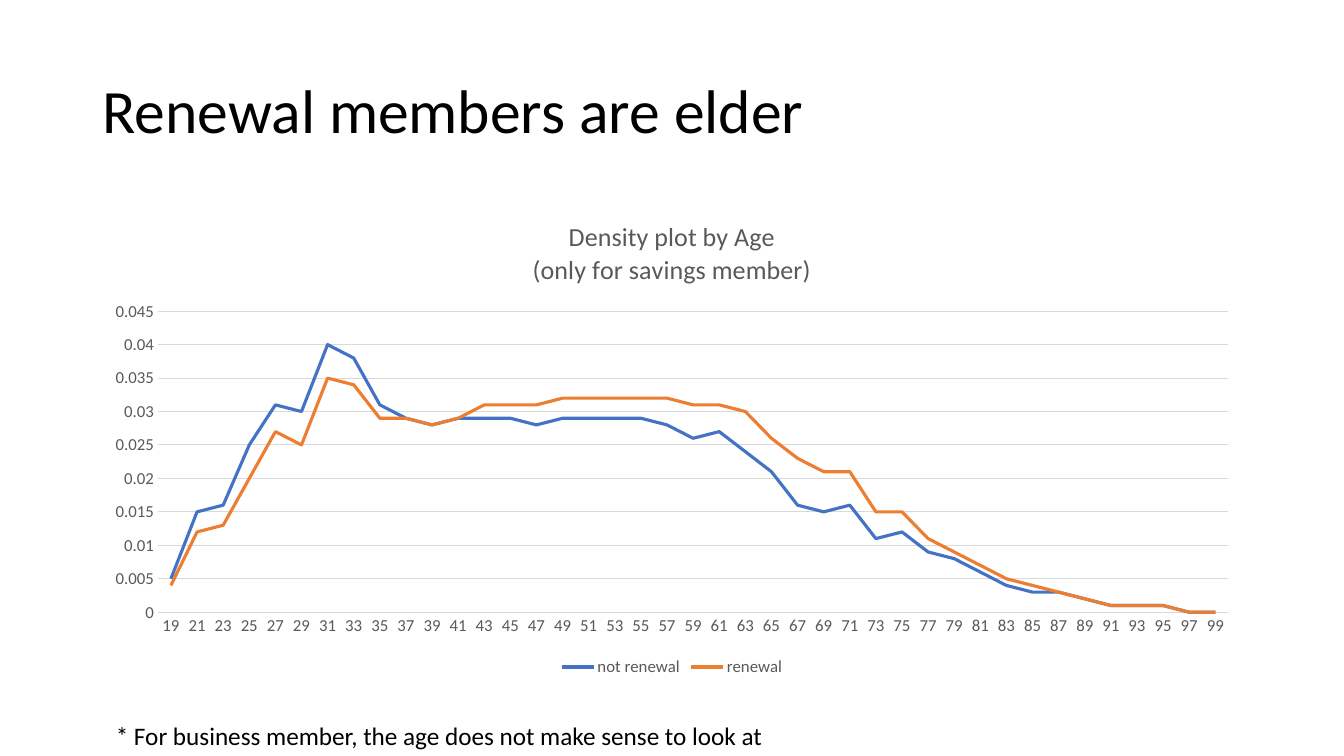
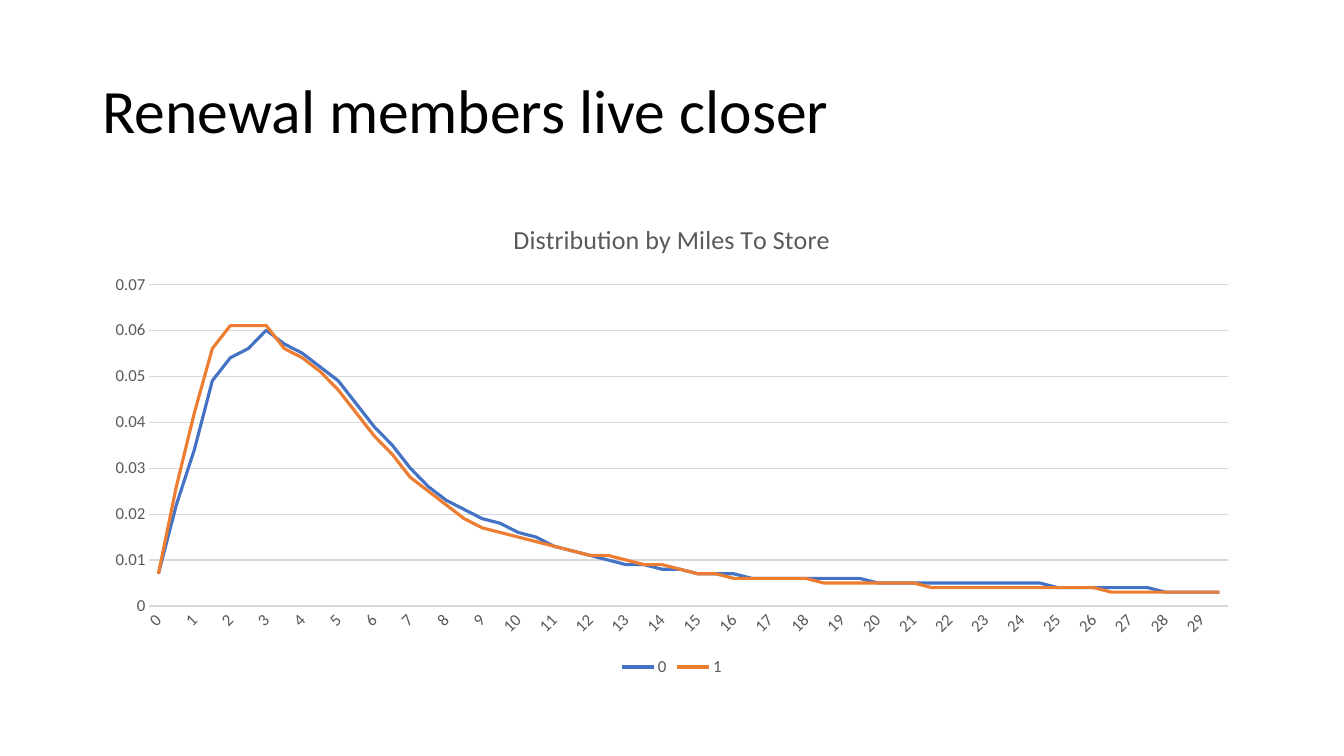
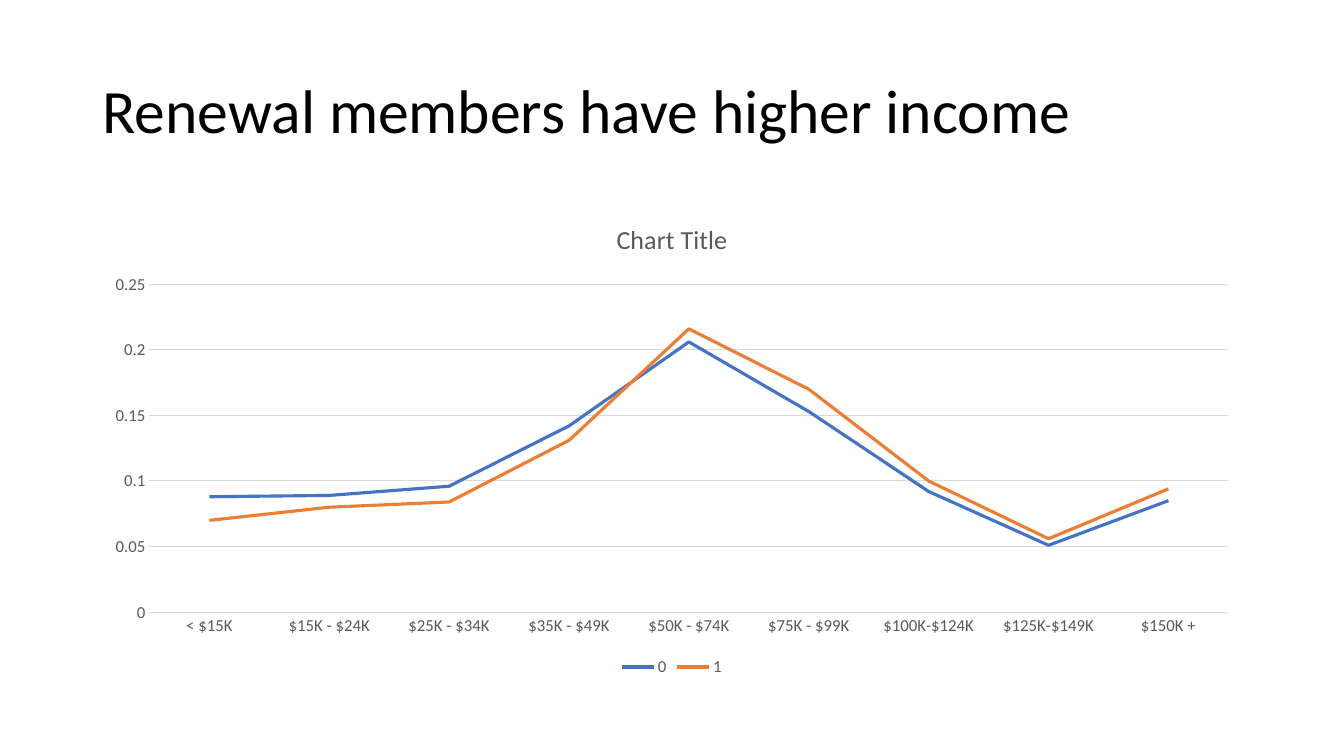
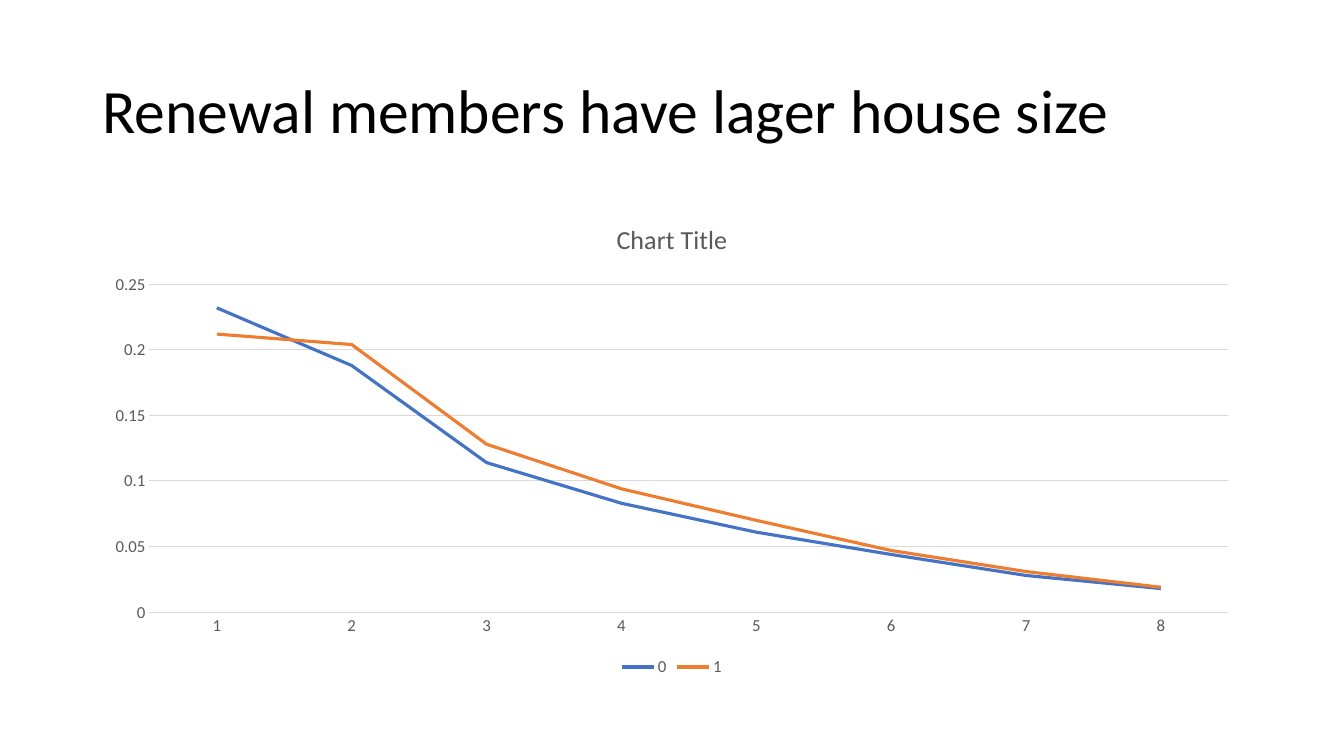
"""Build four slides that compare renewing and leaving members."""
from itertools import pairwise
from pptx import Presentation
from pptx.chart.data import CategoryChartData
from pptx.dml.color import RGBColor
from pptx.enum.chart import XL_CHART_TYPE, XL_LEGEND_POSITION, XL_TICK_MARK
from pptx.enum.text import MSO_ANCHOR
from pptx.util import Inches, Pt

HUES = {"text": "000000", "label": "595959", "grid": "D9D9D9",
        "first": "4472C4", "second": "ED7D31"}
FONT = "Calibri"

deck = Presentation()
deck.slide_width, deck.slide_height = Inches(13.33), Inches(7.5)
CELL = deck.slide_width / 160
LEFT, WIDE = 11, 138


def style(font, size, hue):
    font.name, font.size, font.bold = FONT, Pt(size), False
    font.color.rgb = RGBColor.from_string(HUES[hue])


def write(slide, words, size, *area):
    frame = slide.shapes.add_textbox(*(int(part * CELL) for part in area)).text_frame
    run = frame.paragraphs[0].add_run()
    run.text = words
    style(run.font, size, "text")
    return frame


pages = [
    {"head": "Renewal members are elder",
     "title": ["Density plot by Age", "(only for savings member)"],
     "cats": range(19, 100, 2), "names": ["not renewal", "renewal"],
     "top": 0.045, "step": 0.005,
     "note": "* For business member, the age does not make sense to look at",
     "knots": [*range(9), *range(10, 20, 2), *range(20, 32), *range(32, 41, 4)],
     "rows": [[5, 15, 16, 25, 31, 30, 40, 38, 31, 28, 29, 28, 29, 29,
               26, 27, 24, 21, 16, 15, 16, 11, 12, 9, 8, 6, 4, 1, 0],
              [4, 12, 13, 20, 27, 25, 35, 34, 29, 28, 31, 31, 32, 32,
               31, 31, 30, 26, 23, 21, 21, 15, 15, 11, 9, 7, 5, 1, 0]]},
    {"head": "Renewal members live closer",
     "title": ["Distribution by Miles To Store"],
     "cats": [f"{half / 2:g}" for half in range(60)],
     "top": 0.07, "step": 0.01, "turn": -45,
     "knots": [*range(8), *range(8, 20, 2), *range(20, 33, 4), *range(33, 60, 13)],
     "rows": [[7, 22, 34, 49, 54, 56, 60, 57, 55, 49, 39, 30, 23, 19,
               16, 11, 8, 7, 6, 5, 3],
              [7, 26, 42, 56, 61, 61, 61, 56, 54, 47, 37, 28, 22, 17,
               15, 11, 9, 6, 6, 4, 3]]},
    {"head": "Renewal members have higher income",
     "title": ["Chart Title"],
     "cats": ["< $15K", "$15K - $24K", "$25K - $34K", "$35K - $49K", "$50K - $74K",
              "$75K - $99K", "$100K-$124K", "$125K-$149K", "$150K +"],
     "top": 0.25, "step": 0.05, "knots": range(9),
     "rows": [[88, 89, 96, 142, 206, 153, 92, 51, 85],
              [70, 80, 84, 131, 216, 170, 100, 56, 94]]},
    {"head": "Renewal members have lager house size",
     "title": ["Chart Title"], "cats": range(1, 9),
     "top": 0.25, "step": 0.05, "knots": range(8),
     "rows": [[232, 188, 114, 83, 61, 44, 28, 18],
              [212, 204, 128, 94, 70, 47, 31, 19]]},
]

for page in pages:
    slide = deck.slides.add_slide(deck.slide_layouts[6])
    head = write(slide, page["head"], 44, LEFT, 4.8, WIDE, 17.4)
    head.word_wrap = True
    head.vertical_anchor = MSO_ANCHOR.MIDDLE
    head.paragraphs[0].line_spacing = 0.9

    data = CategoryChartData()
    data.categories = [str(cat) for cat in page["cats"]]
    for name, row in zip(page.get("names", ["0", "1"]), page["rows"]):
        vals = [row[0] / 1000]
        for (start, low), (end, high) in pairwise(zip(page["knots"], row)):
            gap = end - start
            vals += [round((low + (high - low) * part / gap) / 1000, 3)
                     for part in range(1, gap + 1)]
        data.add_series(name, vals)
    area = [int(part * CELL) for part in (LEFT, 24, WIDE, 57.1)]
    chart = slide.shapes.add_chart(XL_CHART_TYPE.LINE, *area, data).chart
    style(chart.font, 10, "text")

    title = chart.chart_title.text_frame
    for spot, line in enumerate(page["title"]):
        para = title.add_paragraph() if spot else title.paragraphs[0]
        run = para.add_run()
        run.text = line
        style(run.font, 18.6, "label")
    chart.chart_title.include_in_layout = False

    chart.has_legend = True
    chart.legend.position = XL_LEGEND_POSITION.BOTTOM
    chart.legend.include_in_layout = False
    style(chart.legend.font, 12, "label")

    base, side = chart.category_axis, chart.value_axis
    for axis in (base, side):
        axis.major_tick_mark = axis.minor_tick_mark = XL_TICK_MARK.NONE
        style(axis.tick_labels.font, 12, "label")
    side.minimum_scale, side.maximum_scale = 0, page["top"]
    side.major_unit = page["step"]
    side.format.line.fill.background()
    for rule in (base.format.line, side.major_gridlines.format.line):
        rule.width = Pt(0.75)
        rule.color.rgb = RGBColor.from_string(HUES["grid"])
    if "turn" in page:
        body = base._element.txPr.bodyPr
        body.set("rot", str(page["turn"] * 60000))
        body.set("vert", "horz")

    chart.plots[0].vary_by_categories = False
    for curve, hue in zip(chart.plots[0].series, ("first", "second")):
        curve.smooth = False
        curve.format.line.width = Pt(2.25)
        curve.format.line.color.rgb = RGBColor.from_string(HUES[hue])

    if "note" in page:
        write(slide, page["note"], 18, 12.6, 85.2, 80.3, 4.8).word_wrap = False

deck.save("out.pptx")
